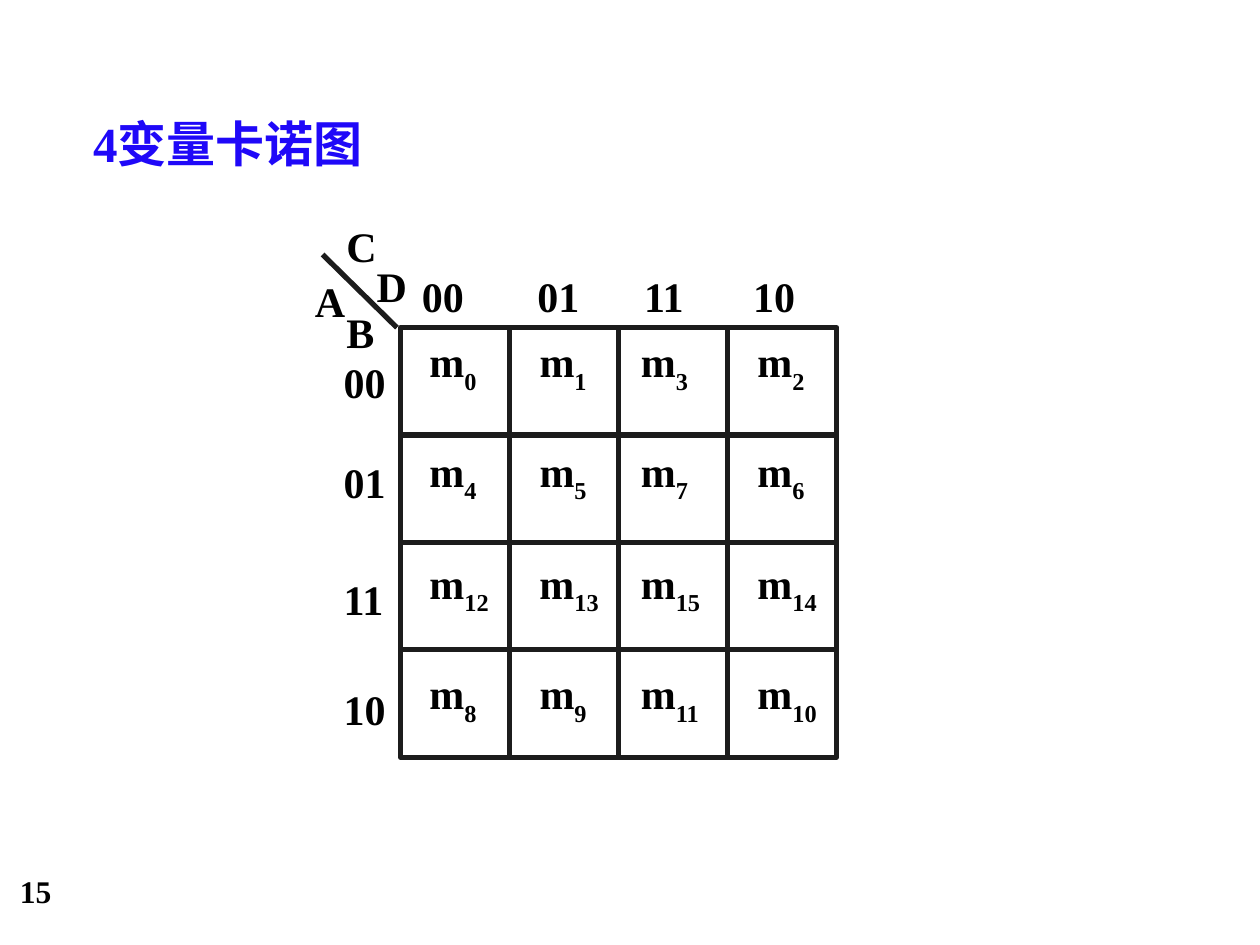
from itertools import product

from lxml import etree
from pptx import Presentation
from pptx.dml.color import RGBColor
from pptx.enum.shapes import MSO_CONNECTOR, MSO_SHAPE
from pptx.enum.text import MSO_ANCHOR
from pptx.oxml.ns import qn
from pptx.util import Inches, Pt

STRAIGHT = MSO_CONNECTOR.STRAIGHT
RECTANGLE = MSO_SHAPE.RECTANGLE
TOP, MIDDLE = MSO_ANCHOR.TOP, MSO_ANCHOR.MIDDLE

BLACK = RGBColor(0x00, 0x00, 0x00)
BLUE = RGBColor(0x1F, 0x08, 0xF8)
CHARCOAL = RGBColor(0x1C, 0x1C, 0x1C)
FONT = "Times New Roman"

GRID_LEFT, GRID_TOP = 3.18, 2.6
CELL_WIDTH, CELL_HEIGHT = 0.865, 0.8525
SIZE = 4
LABEL_WIDTH, LABEL_HEIGHT = 0.63, 0.5
GRAY_CODE = (0, 1, 3, 2)
COLUMN_LABEL_SHIFTS = (0.08, 0.14, 0.12, 0.12)
ROW_LABEL_SHIFTS = (0.21, 0.14, 0.23, 0.26)
MINTERM_COLUMN_SHIFTS = (0.15, 0.16, 0.09, 0.16)
MINTERM_ROW_SHIFTS = (0.06, 0.08, 0.12, 0.15)
VARIABLES = (("C", 2.65, 1.7), ("D", 2.89, 2.02), ("A", 2.4, 2.14), ("B", 2.65, 2.38))


def grid_x(column):
    """Return the horizontal position of a grid column in inches."""
    return GRID_LEFT + column * CELL_WIDTH


def grid_y(row):
    """Return the vertical position of a grid row in inches."""
    return GRID_TOP + row * CELL_HEIGHT


def add_text(slide, text, left, top, width=LABEL_WIDTH, height=LABEL_HEIGHT,
             size=24, color=BLACK, anchor=TOP, subscript=""):
    """Add a bold text box, optionally ending in a subscript."""
    frame = slide.shapes.add_textbox(
        Inches(left), Inches(top), Inches(width), Inches(height)).text_frame
    frame.word_wrap = True
    frame.vertical_anchor = anchor
    paragraph = frame.paragraphs[0]
    paragraph.add_run().text = text
    if subscript:
        run = paragraph.add_run()
        run.text = subscript
        run._r.get_or_add_rPr().set("baseline", "-30000")
    font = paragraph.font
    font.name, font.size, font.bold = FONT, Pt(size), True
    font.color.rgb = color


def style_line(line):
    """Apply the grid's line colour and width."""
    line.color.rgb = CHARCOAL
    line.width = Pt(3)


def add_line(slide, start, end):
    """Add a straight line between two points in inches."""
    connector = slide.shapes.add_connector(STRAIGHT, *map(Inches, start + end))
    style_line(connector.line)
    etree.SubElement(connector._element.spPr, qn("a:effectLst"))


def add_cell(slide, row, column):
    """Add one unfilled cell of the map."""
    cell = slide.shapes.add_shape(
        RECTANGLE, Inches(grid_x(column)), Inches(grid_y(row)),
        Inches(CELL_WIDTH), Inches(CELL_HEIGHT))
    cell.shadow.inherit = False
    cell.fill.background()
    style_line(cell.line)


def add_grid(slide):
    """Add the cells, the ruling lines and the corner diagonal."""
    for row, column in product(range(SIZE), repeat=2):
        add_cell(slide, row, column)
    for index in range(SIZE + 1):
        add_line(slide, (grid_x(0), grid_y(index)), (grid_x(SIZE), grid_y(index)))
        add_line(slide, (grid_x(index), grid_y(0)), (grid_x(index), grid_y(SIZE)))
    add_line(slide, (3.15, GRID_TOP), (2.56, 2.02))


def add_labels(slide):
    """Add the variable names and the Gray codes along both axes."""
    for name, left, top in VARIABLES:
        add_text(slide, name, left, top, width=0.47)
    for index, code in enumerate(GRAY_CODE):
        label = f"{code:02b}"
        add_text(slide, label, grid_x(index + COLUMN_LABEL_SHIFTS[index]), 2.1)
        add_text(slide, label, 2.63, grid_y(index + ROW_LABEL_SHIFTS[index]))


def add_minterms(slide):
    """Number each cell by its row and column Gray codes."""
    for row, column in product(range(SIZE), repeat=2):
        number = SIZE * GRAY_CODE[row] + GRAY_CODE[column]
        add_text(slide, "m", grid_x(column + MINTERM_COLUMN_SHIFTS[column]),
                 grid_y(row + MINTERM_ROW_SHIFTS[row]),
                 width=0.68 if number < 10 else 0.8,
                 anchor=MIDDLE, subscript=str(number))


def main():
    """Build the Karnaugh map slide."""
    presentation = Presentation()
    presentation.slide_width, presentation.slide_height = Inches(10), Inches(7.5)
    slide = presentation.slides.add_slide(presentation.slide_layouts[6])
    add_text(slide, "15", 0.06, 6.87, width=0.99, height=0.37, size=18)
    add_text(slide, "4变量卡诺图", 0.64, 0.85, width=2.57, height=0.51,
             size=28, color=BLUE)
    add_grid(slide)
    add_labels(slide)
    add_minterms(slide)
    presentation.save("out.pptx")


if __name__ == "__main__":
    main()
